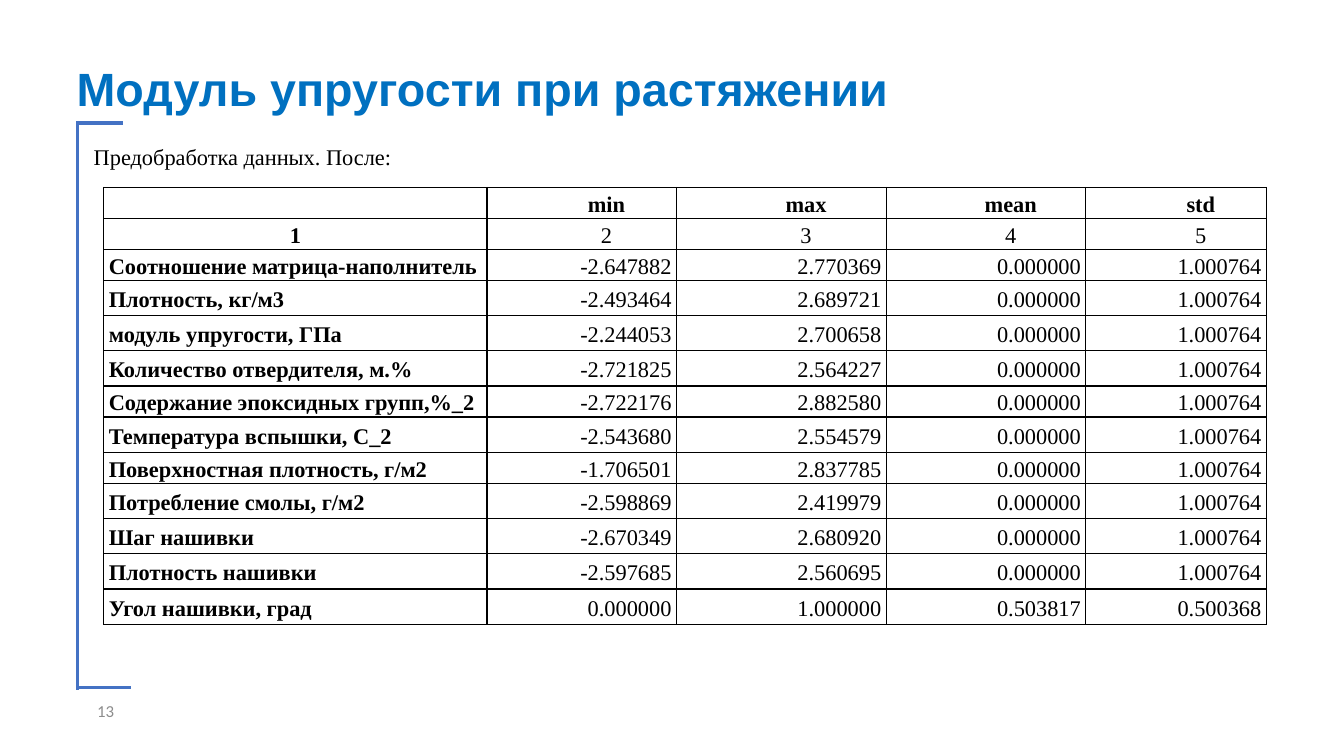
import pptx
import pptx.dml.color
import pptx.enum.shapes
import pptx.enum.text
import pptx.oxml.ns
import pptx.util
from lxml import etree

PX = 9144
BLACK = "000000"
BLUE = "4472C4"
SERIF = "Times New Roman"
ALIGN = pptx.enum.text.PP_ALIGN
ANCHOR = pptx.enum.text.MSO_ANCHOR
INSETS = (8, 4, 8, 4)

STD = "1.000764"
ZERO = "0.000000"
ROWS = [
    ("", "min", "max", "mean", "std"),
    ("1", "2", "3", "4", "5"),
    ("Соотношение матрица-наполнитель", "-2.647882", "2.770369", ZERO, STD),
    ("Плотность, кг/м3", "-2.493464", "2.689721", ZERO, STD),
    ("модуль упругости, ГПа", "-2.244053", "2.700658", ZERO, STD),
    ("Количество отвердителя, м.%", "-2.721825", "2.564227", ZERO, STD),
    ("Содержание эпоксидных групп,%_2", "-2.722176", "2.882580", ZERO, STD),
    ("Температура вспышки, С_2", "-2.543680", "2.554579", ZERO, STD),
    ("Поверхностная плотность, г/м2", "-1.706501", "2.837785", ZERO, STD),
    ("Потребление смолы, г/м2", "-2.598869", "2.419979", ZERO, STD),
    ("Шаг нашивки", "-2.670349", "2.680920", ZERO, STD),
    ("Плотность нашивки", "-2.597685", "2.560695", ZERO, STD),
    ("Угол нашивки, град", ZERO, "1.000000", "0.503817", "0.500368"),
]
COL_WIDTHS = (380, 188, 208, 198, 179)
SHORT_ROWS = (0, 1, 2, 6, 8)
HEADER_ROWS = 2


def px(n):
    return pptx.util.Emu(n * PX)


def color(value):
    return pptx.dml.color.RGBColor.from_string(value)


def put_text(tf, text, size=16, font=SERIF, fill=BLACK, bold=False,
             align=ALIGN.LEFT, spacing=1.0, indent=0):
    p = tf.paragraphs[0]
    p.alignment = align
    p.line_spacing = spacing
    if indent:
        pPr = p._p.get_or_add_pPr()
        pPr.set("marL", "0")
        pPr.set("indent", str(px(indent)))
    r = p.add_run()
    r.text = text
    r.font.size = pptx.util.Pt(size)
    r.font.name = font
    r.font.bold = bold
    r.font.color.rgb = color(fill)


def set_insets(target, insets):
    (target.margin_left, target.margin_top,
     target.margin_right, target.margin_bottom) = map(px, insets)


def add_text(s, box, text, anchor=ANCHOR.TOP, insets=INSETS, **fmt):
    tf = s.shapes.add_textbox(*map(px, box)).text_frame
    tf.word_wrap = True
    tf.vertical_anchor = anchor
    set_insets(tf, insets)
    put_text(tf, text, **fmt)


def add_line(s, x1, y1, x2, y2):
    sp = s.shapes.add_connector(
        pptx.enum.shapes.MSO_CONNECTOR.STRAIGHT, px(x1), px(y1), px(x2), px(y2))
    sp.line.color.rgb = color(BLUE)
    sp.line.width = pptx.util.Pt(2.25)
    etree.SubElement(sp._element.spPr, pptx.oxml.ns.qn("a:effectLst"))


def add_borders(cell):
    qn = pptx.oxml.ns.qn
    tcPr = cell._tc.get_or_add_tcPr()
    for i, side in enumerate(("lnL", "lnR", "lnT", "lnB")):
        ln = etree.Element(qn("a:" + side), w=str(pptx.util.Pt(1)))
        solid = etree.SubElement(ln, qn("a:solidFill"))
        etree.SubElement(solid, qn("a:srgbClr"), val=BLACK)
        tcPr.insert(i, ln)


def fill_cell(cell, text, row, col):
    cell.fill.background()
    cell.vertical_anchor = ANCHOR.MIDDLE
    set_insets(cell, (5, 0, 5, 0))
    header = row < HEADER_ROWS
    if header:
        align = ALIGN.CENTER
    else:
        align = ALIGN.RIGHT if col else ALIGN.LEFT
    indented = col > 1 or (col == 1 and header)
    put_text(cell.text_frame, text, bold=row == 0 or col == 0, align=align,
             spacing=1.15, indent=49 if indented else 0)
    add_borders(cell)


def add_stats_table(s, x, y):
    heights = [28 if i in SHORT_ROWS else 35 for i in range(len(ROWS))]
    table = s.shapes.add_table(len(ROWS), len(COL_WIDTHS), px(x), px(y),
                               px(sum(COL_WIDTHS)), px(sum(heights))).table
    table.first_row = False
    table.horz_banding = False
    for column, width in zip(table.columns, COL_WIDTHS):
        column.width = px(width)
    for i, values in enumerate(ROWS):
        table.rows[i].height = px(heights[i])
        for j, text in enumerate(values):
            fill_cell(table.cell(i, j), text, i, j)


def main():
    prs = pptx.Presentation()
    prs.slide_width, prs.slide_height = px(1333), px(750)
    s = prs.slides.add_slide(prs.slide_layouts[6])
    add_text(s, (57, 685, 66, 40), "13", anchor=ANCHOR.MIDDLE,
             insets=(10, 5, 10, 5), size=12, font="Calibri", fill="8C8C8C",
             align=ALIGN.RIGHT)
    add_text(s, (68, 52, 863, 68), "Модуль упругости при растяжении",
             anchor=ANCHOR.BOTTOM, size=33.3, font="Arial", fill="0070C0",
             bold=True, spacing=0.9)
    add_text(s, (85, 141, 846, 405), "Предобработка данных. После:", spacing=0.9)
    add_line(s, 77, 120, 77, 685)
    add_line(s, 77, 122, 122, 122)
    add_line(s, 77, 682, 130, 682)
    add_stats_table(s, 103, 186)
    prs.save("out.pptx")


if __name__ == "__main__":
    main()
